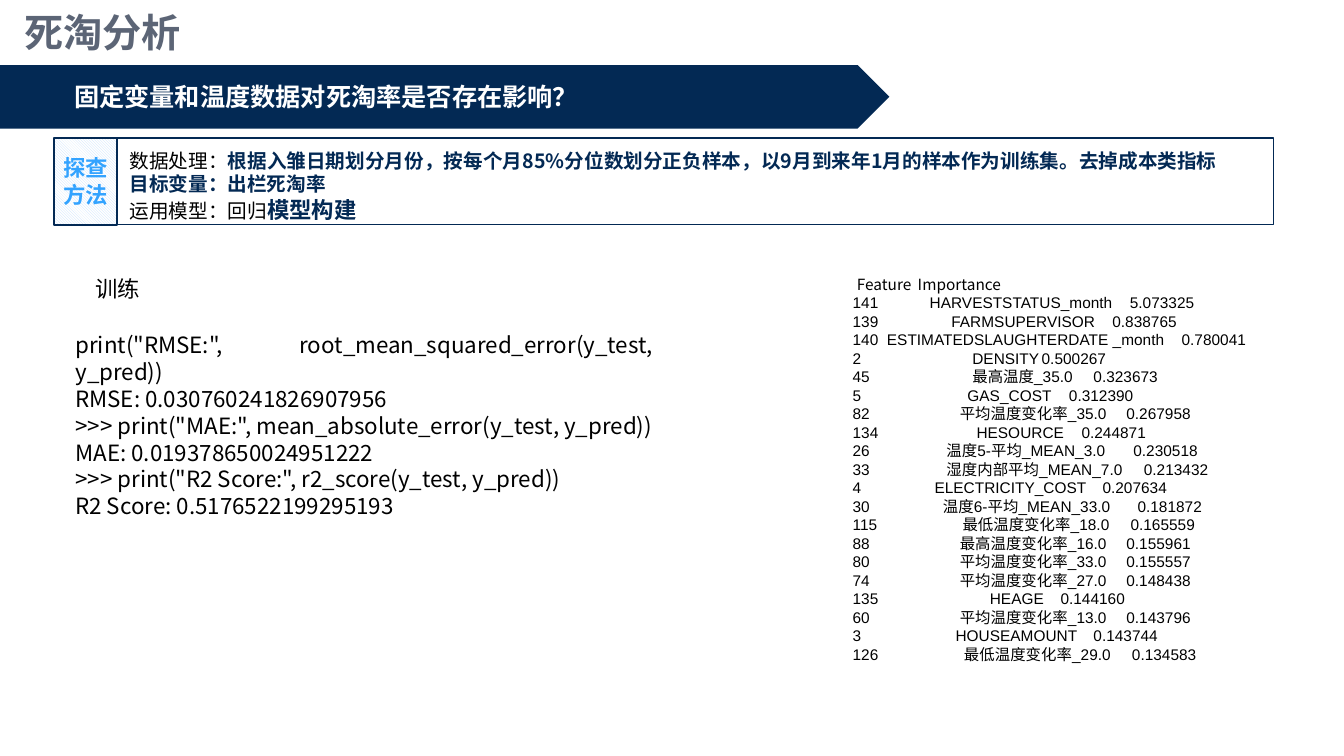
from lxml import etree
from pptx import Presentation
from pptx.dml.color import RGBColor
from pptx.enum.dml import MSO_PATTERN
from pptx.enum.shapes import MSO_SHAPE as Shape
from pptx.enum.text import MSO_ANCHOR as Anchor, MSO_AUTO_SIZE as AutoSize, PP_ALIGN as Align
from pptx.oxml.ns import qn
from pptx.util import Pt

FONT = "Noto Sans CJK SC"
NAVY = "032954"
BLACK = "000000"
LEADING = 1.2

METHOD_LINES = [
    [("数据处理：", {}),
     ("根据入雏日期划分月份，按每个月85%分位数划分正负样本，以9月到来年1月的样本作为训练集。去掉成本类指标",
      {"color": NAVY, "bold": True})],
    [("目标变量：出栏死淘率", {"color": NAVY, "bold": True})],
    [("运用模型：回归", {}), ("模型构建", {"size": 16, "color": NAVY, "bold": True})],
]
TRAINING_OUTPUT = [
    'print("RMSE:", root_mean_squared_error(y_test, y_pred))',
    "RMSE: 0.030760241826907956",
    '>>> print("MAE:", mean_absolute_error(y_test, y_pred))',
    "MAE: 0.019378650024951222",
    '>>> print("R2 Score:", r2_score(y_test, y_pred))',
    "R2 Score: 0.5176522199295193",
]
# index, feature, importance, then the tab stops of the last two in points
FEATURES = [
    ("141", "HARVESTSTATUS_month", "5.073325", 55, 198),
    ("139", "FARMSUPERVISOR", "0.838765", 70.5, 185.5),
    ("140", "ESTIMATEDSLAUGHTERDATE _month", "0.780041", 24.5, 235),
    ("2", "DENSITY", "0.500267", 85.5, 135),
    ("45", "最高温度_35.0", "0.323673", 85.5, 172),
    ("5", "GAS_COST", "0.312390", 82, 154.5),
    ("82", "平均温度变化率_35.0", "0.267958", 76.5, 195.5),
    ("134", "HESOURCE", "0.244871", 88.5, 163.5),
    ("26", "温度5-平均_MEAN_3.0", "0.230518", 67, 200.5),
    ("33", "湿度内部平均_MEAN_7.0", "0.213432", 67, 208),
    ("4", "ELECTRICITY_COST", "0.207634", 58.5, 178.5),
    ("30", "温度6-平均_MEAN_33.0", "0.181872", 64.5, 203.5),
    ("115", "最低温度变化率_18.0", "0.165559", 78.5, 198.5),
    ("88", "最高温度变化率_16.0", "0.155961", 76.5, 195.5),
    ("80", "平均温度变化率_33.0", "0.155557", 76.5, 195.5),
    ("74", "平均温度变化率_27.0", "0.148438", 76.5, 195.5),
    ("135", "HEAGE", "0.144160", 98, 148.5),
    ("60", "平均温度变化率_13.0", "0.143796", 76.5, 195.5),
    ("3", "HOUSEAMOUNT", "0.143744", 73.5, 172),
    ("126", "最低温度变化率_29.0", "0.134583", 79.5, 199.5),
]


def rgb(color):
    return RGBColor.from_string(color)


def place(shape, left, top, width, height):
    shape.left, shape.top, shape.width, shape.height = map(Pt, (left, top, width, height))


def add_text_box(slide, *box):
    return slide.shapes.add_textbox(*map(Pt, box))


def add_panel(slide, kind, box, fill=None, line=None, weight=1):
    panel = slide.shapes.add_shape(kind, *map(Pt, box))
    panel.shadow.inherit = False
    if fill:
        panel.fill.solid()
        panel.fill.fore_color.rgb = rgb(fill)
    else:
        panel.fill.background()
    if line:
        panel.line.color.rgb = rgb(line)
        panel.line.width = Pt(weight)
    else:
        panel.line.fill.background()
    return panel


def set_up_frame(shape, anchor=Anchor.TOP, inset=(7.2, 3.6)):
    frame = shape.text_frame
    frame.word_wrap = True
    frame.auto_size = AutoSize.NONE
    frame.vertical_anchor = anchor
    frame.margin_left = frame.margin_right = Pt(inset[0])
    frame.margin_top = frame.margin_bottom = Pt(inset[1])
    return frame


def add_span(para, text, size=14, color=BLACK, bold=False, font=FONT):
    span = para.add_run()
    span.text = text
    span.font.size = Pt(size)
    span.font.bold = bold
    span.font.color.rgb = rgb(color)
    span.font.name = font
    etree.SubElement(span.font._element, qn("a:ea"), typeface=FONT)


def remove_bullet(para):
    props = para._p.get_or_add_pPr()
    props.set("marL", "0")
    props.set("indent", "0")
    etree.SubElement(props, qn("a:buNone"))


def set_tabs(para, stops):
    tab_list = etree.SubElement(para._p.get_or_add_pPr(), qn("a:tabLst"))
    for stop in stops:
        etree.SubElement(tab_list, qn("a:tab"), pos=str(Pt(stop)), algn="l")


def write(frame, text, align=Align.LEFT, tabs=(), bulleted=False, **style):
    """Add a paragraph from a string or from (text, style) spans.

    bulleted tells that the frame inherits bullets, which are taken off.
    """
    first = frame.paragraphs[0]
    para = frame.add_paragraph() if first.runs else first
    spans = [(text, {})] if isinstance(text, str) else text
    if bulleted:
        remove_bullet(para)
    if tabs:
        set_tabs(para, tabs)
    para.alignment = align
    para.space_before = para.space_after = Pt(0)
    styles = [{**style, **own} for _, own in spans]
    para.line_spacing = Pt(LEADING * max(look.get("size", 14) for look in styles))
    for (words, _), look in zip(spans, styles):
        add_span(para, words, **look)


def build_header(slide, left, top, width):
    title = slide.shapes.title
    place(title, left + 8, top - 2, width, 50)
    write(set_up_frame(title, Anchor.MIDDLE, (9.4, 5)), "死淘分析",
          size=28, color="5C6576", bold=True)
    add_panel(slide, Shape.PENTAGON, (left, top + 46.5, 635.3, 45.4), fill=NAVY)
    question = add_text_box(slide, left + 43.5, top + 44, 571, 50.4)
    write(set_up_frame(question, Anchor.MIDDLE, (9.4, 5)),
          "固定变量和温度数据对死淘率是否存在影响？", size=18, color="FFFFFF", bold=True)


def build_method(slide, left, top, width, height):
    label_width = 44.6
    label = add_panel(slide, Shape.RECTANGLE, (left, top, label_width, height),
                      line=NAVY, weight=1.5)
    label.fill.patterned()
    label.fill.pattern = MSO_PATTERN.LIGHT_DOWNWARD_DIAGONAL
    label.fill.fore_color.rgb = rgb("C6E0FD")
    label.fill.back_color.rgb = rgb("FFFFFF")
    write(set_up_frame(label, Anchor.MIDDLE, (5.8, 3.6)), "探查方法", Align.CENTER,
          size=16, color="33A3FF", bold=True)
    add_panel(slide, Shape.RECTANGLE, (left, top, width, height), line=NAVY)
    body = slide.placeholders[1]
    place(body, left + label_width - 0.4, top + 7, width - 33, 54)
    frame = set_up_frame(body, Anchor.MIDDLE, (9.4, 5))
    for line in METHOD_LINES:
        write(frame, line, bulleted=True)


def build_training(slide, left, top, width):
    heading = add_text_box(slide, left + 14.4, top, 124.6, 26.6)
    write(set_up_frame(heading), "训练", Align.JUSTIFY, size=16)
    frame = set_up_frame(add_text_box(slide, left, top + 40, width, 142))
    for line in TRAINING_OUTPUT:
        write(frame, line, Align.JUSTIFY, size=16)


def build_importance(slide, left, top, width, height):
    frame = set_up_frame(add_text_box(slide, left, top, width, height))
    write(frame, "\tFeature\tImportance", Align.JUSTIFY, (3, 46.5), size=11)
    for index, feature, importance, *tabs in FEATURES:
        write(frame, f"{index}\t{feature}\t{importance}", Align.JUSTIFY, tabs,
              size=11, font="Arial")


def main():
    deck = Presentation()
    deck.slide_width, deck.slide_height = Pt(960), Pt(540)
    slide = deck.slides.add_slide(deck.slide_layouts[1])
    build_header(slide, 0, 0, 885)
    build_method(slide, 38.9, 98.6, 871, 62)
    build_training(slide, 46.8, 193, 427)
    build_importance(slide, 602, 192.7, 297.4, 287.3)
    deck.save("out.pptx")


if __name__ == "__main__":
    main()
